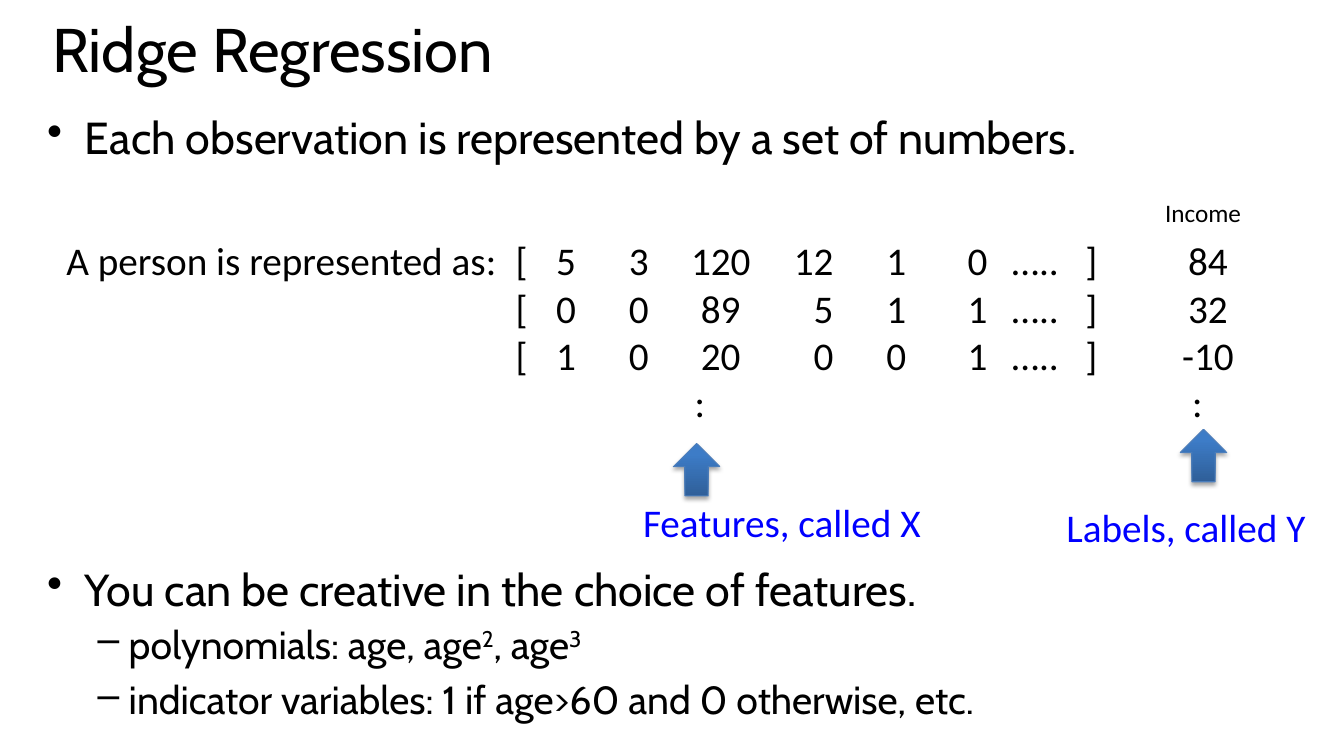
from dataclasses import dataclass

from lxml import etree
from pptx import Presentation
from pptx.dml.color import RGBColor
from pptx.enum.shapes import MSO_SHAPE
from pptx.oxml.ns import qn
from pptx.util import Pt

BLACK = RGBColor(0x00, 0x00, 0x00)
BLUE = RGBColor(0x00, 0x00, 0xFF)
DARK = RGBColor(0x2F, 0x5F, 0x99)
LIGHT = RGBColor(0x3D, 0x7C, 0xC7)
EDGE = RGBColor(0x4B, 0x7E, 0xBC)
UP_ARROW = MSO_SHAPE.UP_ARROW


@dataclass
class Label:
    text: str
    left: float
    top: float
    width: float
    height: float
    size: float
    color: RGBColor = BLACK
    face: str = "Calibri"
    lines: float = 1.0


@dataclass
class Bullet:
    text: str  # "^" marks the next character as superscript
    level: int = 0


@dataclass
class Level:
    mark: str
    size: float
    margin: float
    hang: float
    gap: float


LEVELS = [Level("•", 32, 27, 27, 0), Level("–", 28, 58.3, 22.3, 3)]

LABELS = [
    Label("Ridge Regression", 30.2, 14.4, 907.2, 83.5, 44, face="Cabin", lines=0.8),
    Label("Income", 825.1, 137.5, 70, 28.8, 18),
    Label("Features, called X", 452.2, 352.1, 216.7, 41, 28, BLUE),
    Label("Labels, called Y", 754.6, 355.7, 188, 41, 28, BLUE),
]

INTRO = [Bullet("Each observation is represented by a set of numbers.")]
ADVICE = [
    Bullet("You can be creative in the choice of features."),
    Bullet("polynomials: age, age^2, age^3", 1),
    Bullet("indicator variables: 1 if age>60 and 0 otherwise, etc.", 1),
]

# Tab stops: alignment and distance from the text edge
STOPS = [("l", 321), ("r", 364), ("r", 416), ("ctr", 467.5), ("r", 548),
         ("r", 600), ("r", 658), ("l", 675.5), ("l", 728), ("ctr", 815.5)]
DOTS = [("ctr", 452.5), ("ctr", 808)]
ROWS = [
    ("A person is represented as:", "5 3 120 12 1 0", "84"),
    ("", "0 0 89 5 1 1", "32"),
    ("", "1 0 20 0 0 1", "-10"),
]
ARROWS = [(481, 316.8), (843.1, 306.7)]


def add_frame(slide, left: float, top: float, width: float, height: float):
    box = slide.shapes.add_textbox(Pt(left), Pt(top), Pt(width), Pt(height))
    box.text_frame.word_wrap = True
    return box.text_frame


def next_para(frame, index: int):
    return frame.add_paragraph() if index else frame.paragraphs[0]


def set_font(para, face: str, size: float, color: RGBColor) -> None:
    para.font.name = face
    para.font.size = Pt(size)
    para.font.color.rgb = color


def add_label(slide, label: Label) -> None:
    frame = add_frame(slide, label.left, label.top, label.width, label.height)
    para = frame.paragraphs[0]
    para.text = label.text
    para.line_spacing = label.lines
    set_font(para, label.face, label.size, label.color)


def add_list(slide, top: float, height: float, items: list[Bullet]) -> None:
    frame = add_frame(slide, 26.6, top, 751.7, height)
    for index, item in enumerate(items):
        para = next_para(frame, index)
        level = LEVELS[item.level]
        first, *parts = item.text.split("^")
        para.add_run().text = first
        for part in parts:
            power = para.add_run()
            power.text = part[0]
            power.font._element.set("baseline", "30000")
            if part[1:]:
                para.add_run().text = part[1:]
        para.level = item.level
        props = para._p.get_or_add_pPr()
        props.set("marL", str(Pt(level.margin)))
        props.set("indent", str(-Pt(level.hang)))
        etree.SubElement(props, qn("a:buChar"), char=level.mark)
        para.space_before = para.space_after = Pt(level.gap)
        set_font(para, "Cabin", level.size, BLACK)


def add_data(slide) -> None:
    """Draw the feature vectors and incomes, aligned by tab stops."""
    frame = add_frame(slide, 40.3, 165.6, 861.8, 177.1)
    lines = [("\t".join([lead, "[", *nums.split(), "…..", "]", income]), STOPS)
             for lead, nums, income in ROWS]
    lines.append(("\t:\t:", DOTS))
    for index, (text, stops) in enumerate(lines):
        para = next_para(frame, index)
        para.text = text
        tabs = etree.SubElement(para._p.get_or_add_pPr(), qn("a:tabLst"))
        for align, pos in stops:
            etree.SubElement(tabs, qn("a:tab"), pos=str(Pt(pos)), algn=align)
        set_font(para, "Calibri", 28, BLACK)


def add_arrow(slide, left: float, top: float) -> None:
    arrow = slide.shapes.add_shape(UP_ARROW, Pt(left), Pt(top), Pt(33.1), Pt(37.4))
    arrow.fill.gradient()
    arrow.fill.gradient_angle = 90
    low, high = arrow.fill.gradient_stops
    low.color.rgb, low.position = DARK, 0
    high.color.rgb, high.position = LIGHT, 0.8
    arrow.line.color.rgb = EDGE
    arrow.line.width = Pt(0.75)
    arrow.shadow.inherit = False
    effects = arrow._element.spPr.find(qn("a:effectLst"))
    shade = etree.SubElement(effects, qn("a:outerShdw"), blurRad=str(Pt(3.1)),
                             dist=str(Pt(1.8)), dir="5400000", rotWithShape="0")
    tint = etree.SubElement(shade, qn("a:srgbClr"), val=str(BLACK))
    etree.SubElement(tint, qn("a:alpha"), val="35000")


def main() -> None:
    deck = Presentation()
    deck.slide_width, deck.slide_height = Pt(960), Pt(540)
    slide = deck.slides.add_slide(deck.slide_layouts[6])
    add_list(slide, 74.9, 46, INTRO)
    add_list(slide, 397.8, 128, ADVICE)
    add_data(slide)
    for label in LABELS:
        add_label(slide, label)
    for left, top in ARROWS:
        add_arrow(slide, left, top)
    deck.save("out.pptx")


if __name__ == "__main__":
    main()
